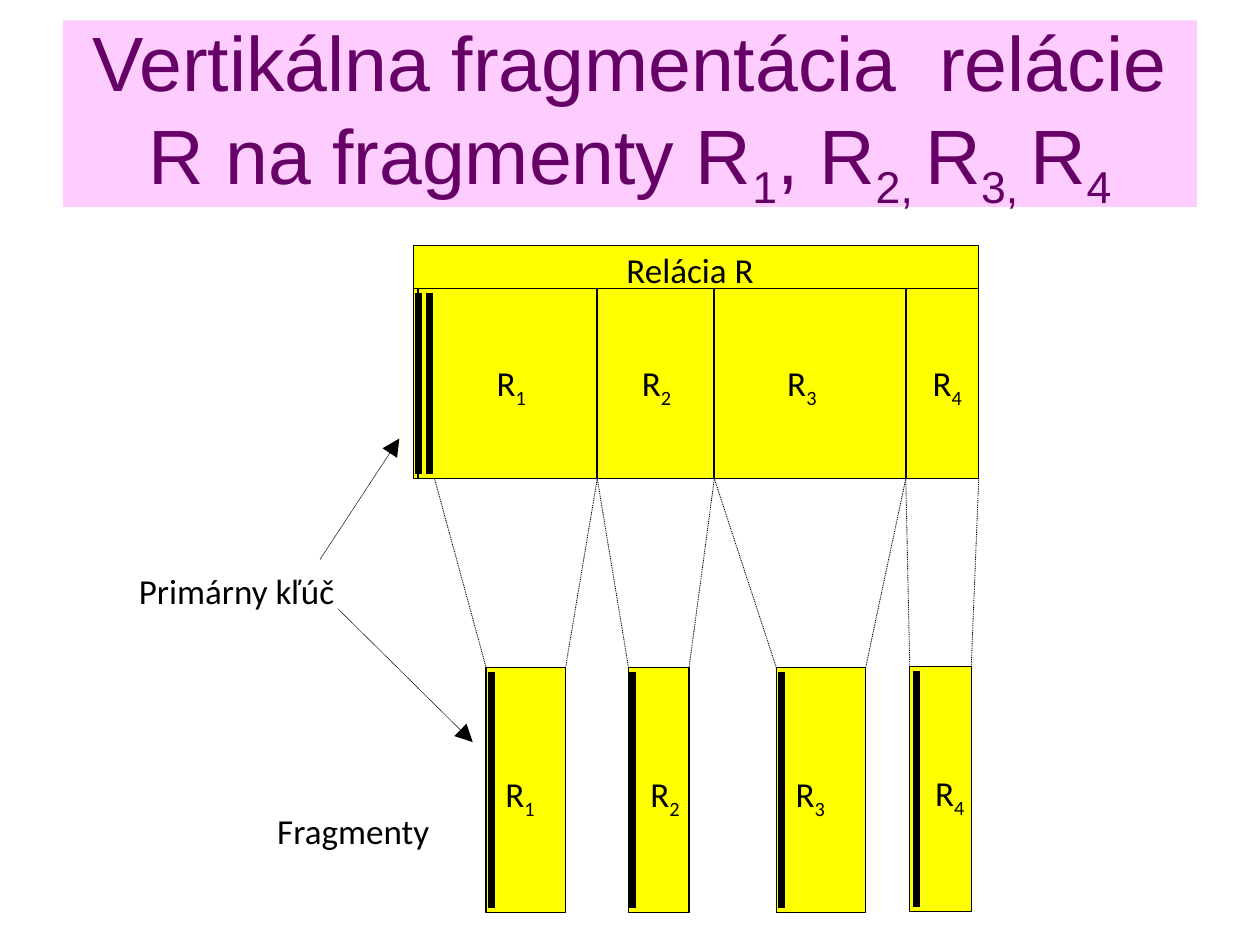
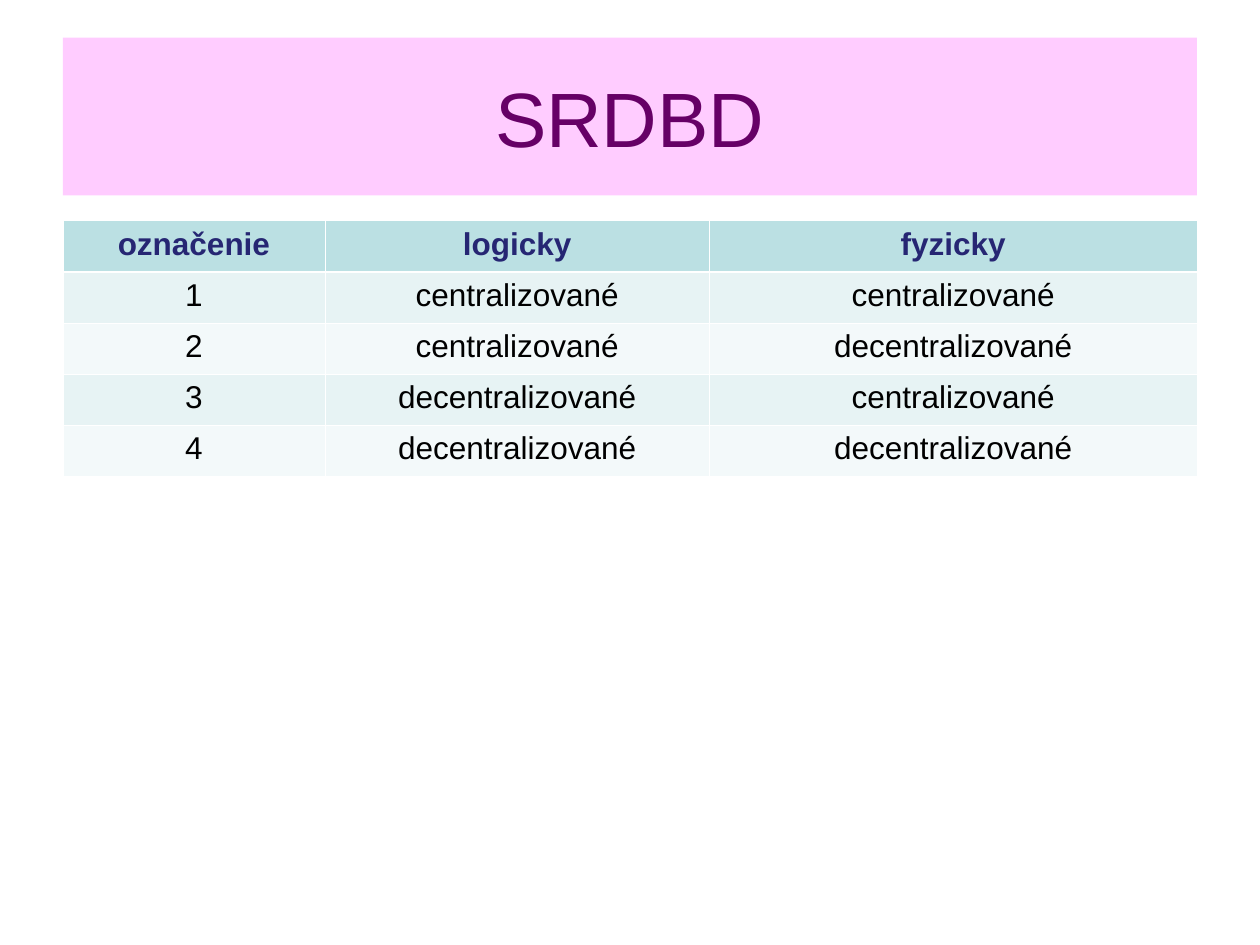
from itertools import pairwise

from lxml.etree import SubElement
from pptx import Presentation
from pptx.dml.color import RGBColor
from pptx.enum.dml import MSO_LINE_DASH_STYLE as Dash
from pptx.enum.shapes import MSO_CONNECTOR as Connector, MSO_SHAPE as Shape
from pptx.enum.text import MSO_ANCHOR as Anchor, PP_ALIGN as Align
from pptx.oxml.ns import qn
from pptx.util import Cm, Pt

# Colours and fonts
BLACK = RGBColor(0x00, 0x00, 0x00)
WHITE = RGBColor(0xFF, 0xFF, 0xFF)
PINK = RGBColor(0xFF, 0xCC, 0xFF)
PURPLE = RGBColor(0x66, 0x00, 0x66)
YELLOW = RGBColor(0xFF, 0xFF, 0x00)
NAVY = RGBColor(0x26, 0x26, 0x73)
HEADER_TEAL = RGBColor(0xBB, 0xE0, 0xE3)
ROW_TINTS = (RGBColor(0xE7, 0xF3, 0xF4), RGBColor(0xF3, 0xF9, 0xFA))
TITLE_FONT = "Arial"
LABEL_FONT = "Calibri"

# All lengths below are in centimetres
MARGIN = 1.27
CONTENT_WIDTH = 22.86

# Relation: vertical cuts, measured from its left edge
KEY_EDGE = 0.43
CUTS = (3.71, 6.07, 9.93)
HEADER_HEIGHT = 0.87

# Fragments: left, top, width, key offset, label offset
FRAGMENT_HEIGHT = 4.93
FRAGMENTS = (
    (9.80, 13.46, 1.60, 0.10, 0.36),
    (12.67, 13.46, 1.22, 0.08, 0.41),
    (15.65, 13.46, 1.80, 0.11, 0.36),
    (18.34, 13.44, 1.24, 0.14, 0.48),
)

COLUMN_WIDTHS = (5.28, 7.75, 9.83)
ROW_HEIGHT = 1.03
SYSTEM_TYPES = (
    ("označenie", "logicky", "fyzicky"),
    ("1", "centralizované", "centralizované"),
    ("2", "centralizované", "decentralizované"),
    ("3", "decentralizované", "centralizované"),
    ("4", "decentralizované", "decentralizované"),
)


def style_run(run, size, font, color, bold=False):
    run.font.size = Pt(size)
    run.font.name = font
    run.font.color.rgb = color
    run.font.bold = bold


def write_subscripted(paragraph, text, size, font, color):
    """Write text in which every second part between bars is a subscript."""
    for index, part in enumerate(text.split("|")):
        if part:
            run = paragraph.add_run()
            run.text = part
            style_run(run, size, font, color)
            if index % 2:
                run._r.get_or_add_rPr().set("baseline", "-25000")


def add_box(slide, left, top, width, height, fill, outline=None):
    shape = slide.shapes.add_shape(
        Shape.RECTANGLE, Cm(left), Cm(top), Cm(width), Cm(height))
    shape.shadow.inherit = False
    shape.fill.solid()
    shape.fill.fore_color.rgb = fill
    if outline is None:
        shape.line.fill.background()
    else:
        shape.line.color.rgb = outline
        shape.line.width = Pt(0.75)
    return shape


def add_title(slide, text, top, height):
    band = add_box(slide, MARGIN, top, CONTENT_WIDTH, height, PINK)
    frame = band.text_frame
    frame.word_wrap = True
    frame.vertical_anchor = Anchor.MIDDLE
    paragraph = frame.paragraphs[0]
    paragraph.alignment = Align.CENTER
    write_subscripted(paragraph, text, 44, TITLE_FONT, PURPLE)


def add_label(slide, text, left, top, width, height):
    label = slide.shapes.add_textbox(Cm(left), Cm(top), Cm(width), Cm(height))
    frame = label.text_frame
    frame.word_wrap = True
    frame.margin_left = frame.margin_right = Cm(0.03)
    frame.margin_top = frame.margin_bottom = Cm(0.03)
    paragraph = frame.paragraphs[0]
    paragraph.space_after = Pt(10)
    write_subscripted(paragraph, text, 20, LABEL_FONT, BLACK)


def add_line(slide, start, end, width, dotted=False, arrow=False):
    line = slide.shapes.add_connector(
        Connector.STRAIGHT, *(Cm(value) for value in (*start, *end)))
    line.line.color.rgb = BLACK
    line.line.width = Pt(width)
    if dotted:
        line.line.dash_style = Dash.ROUND_DOT
    properties = line._element.spPr
    if arrow:
        SubElement(properties.find(qn("a:ln")), qn("a:tailEnd"),
                   type="triangle", w="lg", len="lg")
    SubElement(properties, qn("a:effectLst"))


def add_vertical(slide, x, top, bottom, width):
    add_line(slide, (x, top), (x, bottom), width)


def add_relation(slide, left, top, width, height):
    add_box(slide, left, top, width, height, YELLOW, BLACK)
    header_bottom = top + HEADER_HEIGHT
    add_line(slide, (left, header_bottom), (left + width, header_bottom), 0.75)
    for cut in (0.09, *CUTS):
        add_vertical(slide, left + cut, header_bottom, top + height, 1)
    # Primary key columns
    for key in (0.1, 0.33):
        add_vertical(slide, left + key, top + 0.95, top + height - 0.1, 4)
    add_label(slide, "Relácia R", left + 4.27, top + 0.03, 4.83, 1.04)
    for index in range(len(FRAGMENTS)):
        add_label(slide, f"R|{index + 1}|",
                  left + 1.65 + 2.93 * index, top + 2.31, 1.17, 0.79)


def add_fragment(slide, number, left, top, width, key, label):
    add_box(slide, left, top, width, FRAGMENT_HEIGHT, YELLOW, BLACK)
    add_vertical(slide, left + key, top + 0.08, top + FRAGMENT_HEIGHT - 0.08, 4)
    add_label(slide, f"R|{number}|", left + label, top + 2.08, 0.81, 0.89)


def add_projections(slide, left, bottom, width):
    """Join both ends of each slice of the relation to its fragment."""
    slices = pairwise((KEY_EDGE, *CUTS, width))
    for ends, (frag_left, frag_top, frag_width, *_) in zip(slices, FRAGMENTS):
        for end, corner in zip(ends, (frag_left, frag_left + frag_width)):
            add_line(slide, (left + end, bottom), (corner, frag_top),
                     0.5, dotted=True)


def add_key_callout(slide, left, top):
    add_label(slide, "Primárny kľúč", left, top, 4.32, 0.79)
    add_line(slide, (left + 3.68, top - 0.18), (left + 5.28, top - 2.62),
             0.25, arrow=True)
    add_line(slide, (left + 4.04, top + 0.81), (left + 6.76, top + 3.5),
             0.25, arrow=True)


def build_fragmentation_slide(slide):
    add_title(slide, "Vertikálna fragmentácia  relácie R na fragmenty "
              "R|1|, R|2, |R|3, |R|4|", 0.41, 3.76)
    left, top, width, height = 8.33, 4.95, 11.4, 4.7
    add_relation(slide, left, top, width, height)
    add_projections(slide, left, top + height, width)
    for number, fragment in enumerate(FRAGMENTS, start=1):
        add_fragment(slide, number, *fragment)
    add_key_callout(slide, 2.77, 11.46)
    add_label(slide, "Fragmenty", 5.56, 16.28, 3.68, 0.99)


def set_borders(cell, top, bottom):
    properties = cell._tc.get_or_add_tcPr()
    widths = {"a:lnL": 0.45, "a:lnR": 0.45, "a:lnT": top, "a:lnB": bottom}
    for index, (tag, width) in enumerate(widths.items()):
        border = SubElement(properties, qn(tag), w=str(Pt(width)))
        fill = SubElement(border, qn("a:solidFill"))
        SubElement(fill, qn("a:srgbClr"), val=str(WHITE))
        properties.insert(index, border)


def add_types_table(slide, left, top):
    table = slide.shapes.add_table(
        len(SYSTEM_TYPES), len(COLUMN_WIDTHS), Cm(left), Cm(top),
        Cm(CONTENT_WIDTH), Cm(ROW_HEIGHT * len(SYSTEM_TYPES))).table
    for column, width in zip(table.columns, COLUMN_WIDTHS):
        column.width = Cm(width)
    for row_index, texts in enumerate(SYSTEM_TYPES):
        table.rows[row_index].height = Cm(ROW_HEIGHT)
        header = row_index == 0
        for column_index, text in enumerate(texts):
            cell = table.cell(row_index, column_index)
            cell.fill.solid()
            cell.fill.fore_color.rgb = (
                HEADER_TEAL if header else ROW_TINTS[(row_index - 1) % 2])
            set_borders(cell, top=1.47 if row_index == 1 else 0.45,
                        bottom=1.47 if header else 0.45)
            cell.text_frame.text = text
            paragraph = cell.text_frame.paragraphs[0]
            paragraph.alignment = Align.CENTER
            style_run(paragraph.runs[0], 18, TITLE_FONT,
                      NAVY if header else BLACK, bold=header)


def build_types_slide(slide):
    add_title(slide, "SRDBD", 0.76, 3.18)
    add_types_table(slide, MARGIN, 4.45)


def main():
    presentation = Presentation()
    presentation.slide_width = Cm(25.4)
    presentation.slide_height = Cm(19.05)
    blank = presentation.slide_layouts[6]
    for build in (build_fragmentation_slide, build_types_slide):
        build(presentation.slides.add_slide(blank))
    presentation.save("out.pptx")


if __name__ == "__main__":
    main()
